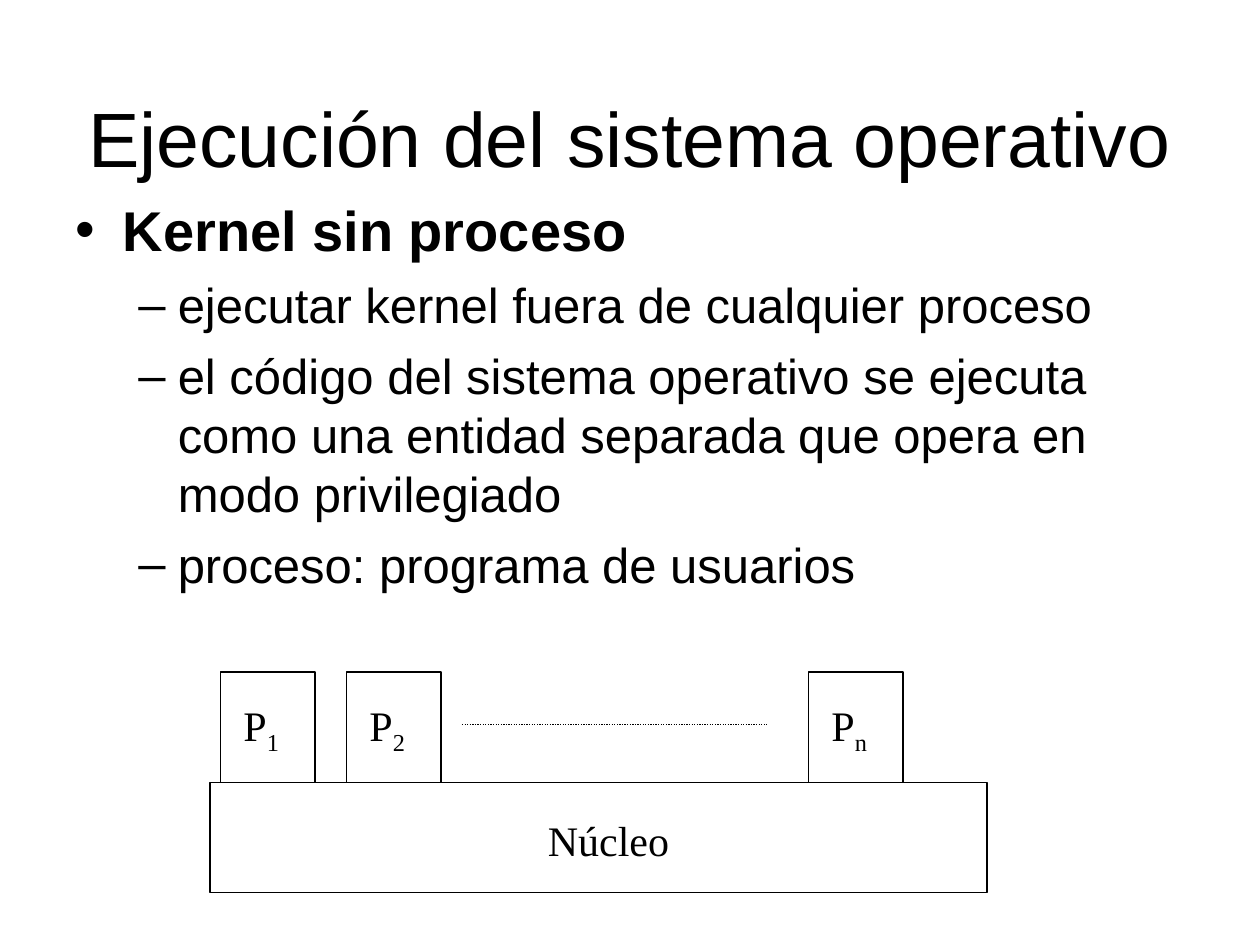
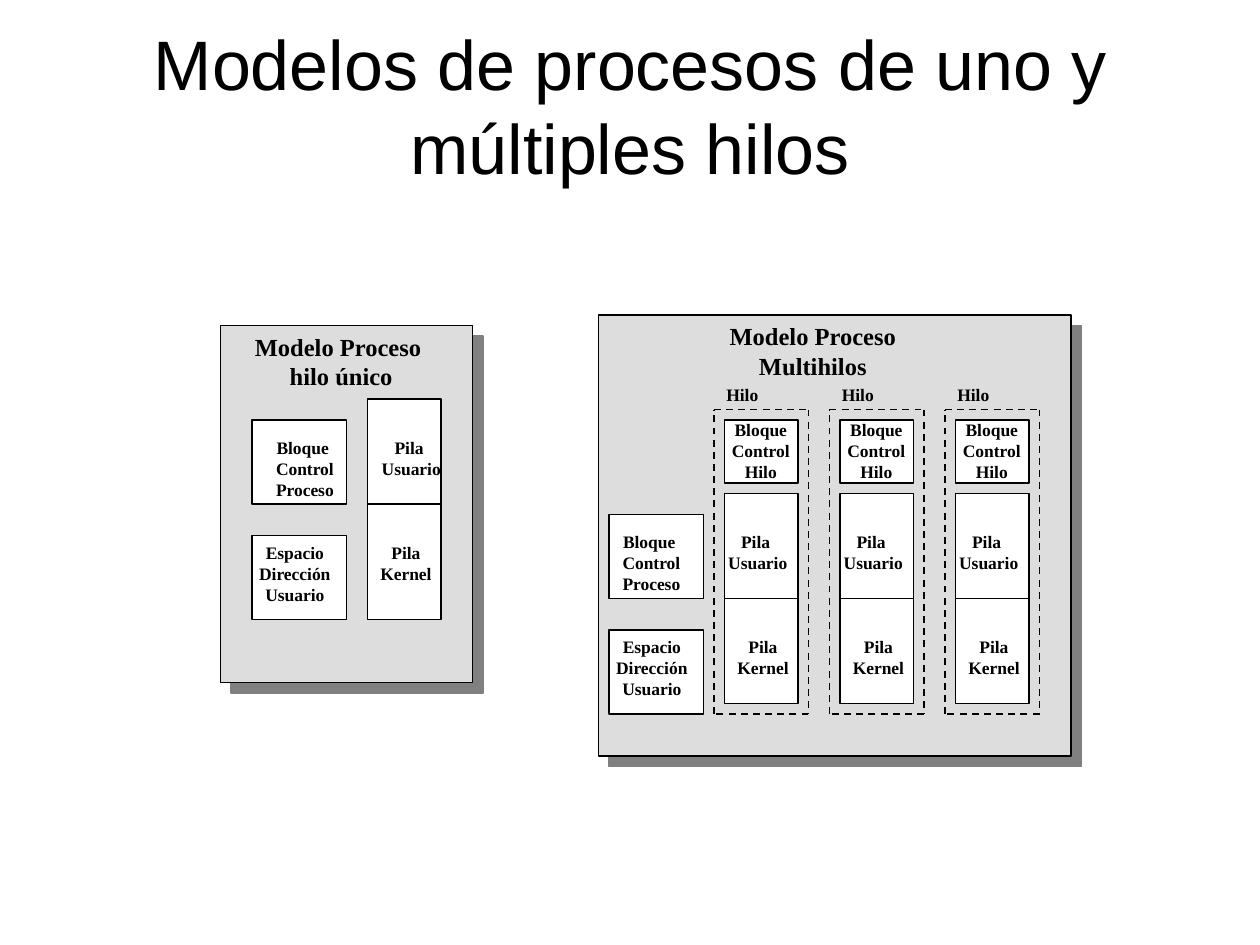
from pptx import Presentation
from pptx.dml.color import RGBColor
from pptx.enum.dml import MSO_LINE_DASH_STYLE as DASH
from pptx.enum.shapes import MSO_CONNECTOR, MSO_SHAPE
from pptx.enum.text import MSO_ANCHOR, MSO_AUTO_SIZE, PP_ALIGN
from pptx.oxml.ns import qn
from pptx.oxml.xmlchemy import OxmlElement
from pptx.util import Pt

BLACK = RGBColor(0x00, 0x00, 0x00)
WHITE = RGBColor(0xFF, 0xFF, 0xFF)
PANEL_GRAY = RGBColor(0xDD, 0xDD, 0xDD)
SHADOW_GRAY = RGBColor(0x80, 0x80, 0x80)
SANS, SERIF = "Arial", "Times New Roman"

PCB = ["Bloque ", "Control", "Proceso"]
TCB = ["Bloque", "Control", "Hilo"]
USER_SPACE = ["Espacio", "Dirección", "Usuario"]
USER_STACK = ["Pila ", "Usuario"]
KERNEL_STACK = ["Pila", "Kernel"]
THREAD_COUNT, THREAD_PITCH = 3, 66


def sub(parent, tag, **attrs):
    """Append an XML child with the given attributes."""
    child = OxmlElement(tag)
    for name, value in attrs.items():
        child.set(name, str(value))
    parent.append(child)
    return child


def add_run(p, text, size, font, bold=False):
    r = p.add_run()
    r.text = text
    r.font.size = Pt(size)
    r.font.name = font
    r.font.bold = bold
    r.font.color.rgb = BLACK
    return r


def add_textbox(slide, x, y, w, h, wrap=True):
    tf = slide.shapes.add_textbox(Pt(x), Pt(y), Pt(w), Pt(h)).text_frame
    tf.word_wrap = wrap
    return tf


def add_label(slide, x, y, w, h, lines, size=10, bold=True, align=PP_ALIGN.CENTER):
    """Unwrapped serif text, one paragraph per line."""
    tf = add_textbox(slide, x, y, w, h, wrap=False)
    tf.auto_size = MSO_AUTO_SIZE.SHAPE_TO_FIT_TEXT
    for i, line in enumerate(lines):
        p = tf.add_paragraph() if i else tf.paragraphs[0]
        p.alignment = align
        add_run(p, line, size, SERIF, bold)


def add_rect(slide, x, y, w, h, fill=None, weight=1):
    sp = slide.shapes.add_shape(MSO_SHAPE.RECTANGLE, Pt(x), Pt(y), Pt(w), Pt(h))
    sp.shadow.inherit = False
    if fill is None:
        sp.fill.background()
    else:
        sp.fill.solid()
        sp.fill.fore_color.rgb = fill
    sp.line.color.rgb = BLACK
    sp.line.width = Pt(weight)
    return sp


def add_line(slide, x1, y1, x2, y2, weight=1, dash=None):
    line = slide.shapes.add_connector(MSO_CONNECTOR.STRAIGHT, Pt(x1), Pt(y1), Pt(x2), Pt(y2))
    line.line.color.rgb = BLACK
    line.line.width = Pt(weight)
    if dash is not None:
        line.line.dash_style = dash
    sub(line._element.spPr, "a:effectLst")
    return line


def add_title(slide, x, y, w, h, text, size):
    tf = add_textbox(slide, x, y, w, h)
    tf.vertical_anchor = MSO_ANCHOR.BOTTOM
    p = tf.paragraphs[0]
    p.alignment = PP_ALIGN.CENTER
    add_run(p, text, size, SANS)


def add_bullet(p, char, left, hanging):
    pPr = p._p.get_or_add_pPr()
    pPr.set("marL", str(Pt(left)))
    pPr.set("indent", str(-Pt(hanging)))
    sub(pPr, "a:buFont", typeface=SANS)
    sub(pPr, "a:buChar", char=char)


def add_outline(slide, x, y, w, h, heading, items):
    """A bold heading bullet followed by dashed items one level down."""
    tf = add_textbox(slide, x, y, w, h)
    p = tf.paragraphs[0]
    p.space_before = Pt(8)
    add_bullet(p, "•", 27, 27)
    add_run(p, heading, 32, SANS, bold=True)
    for item in items:
        p = tf.add_paragraph()
        p.level = 1
        p.space_before = Pt(7)
        add_bullet(p, "–", 58.5, 22.5)
        add_run(p, item, 28, SANS)


def add_process(slide, x, y, index):
    add_rect(slide, x, y, 54, 63, weight=0.75)
    p = add_textbox(slide, x + 6, y + 12, 48, 40).paragraphs[0]
    add_run(p, "P", 24, SERIF)
    r = add_run(p, index, 24, SERIF)
    r.font._element.set("baseline", "-25000")


def add_kernel_diagram(slide, x, y):
    """Processes standing on the kernel block."""
    add_rect(slide, x, y + 63, 444, 63, weight=0.75)
    add_label(slide, x + 186, y + 78, 84, 36, ["Núcleo"], 24, False, PP_ALIGN.LEFT)
    for dx, index in ((6, "1"), (78, "2"), (342, "n")):
        add_process(slide, x + dx, y, index)
    add_line(slide, x + 144, y + 30, x + 318, y + 30, 0.75, DASH.ROUND_DOT)


def add_panel(slide, x, y, w, h):
    """Gray box with a hard shadow towards the lower right."""
    sp = add_rect(slide, x, y, w, h, PANEL_GRAY)
    effects = sp._element.spPr.find(qn("a:effectLst"))
    shadow = sub(effects, "a:outerShdw", dist=Pt(8.5), dir=45 * 60000,
                 algn="ctr", rotWithShape=0)
    sub(shadow, "a:srgbClr", val=SHADOW_GRAY)


def add_process_data(slide, x, y, pitch, pcb_label, space_label):
    """Control block above user address space; labels are offsets from (x, y)."""
    for row in range(2):
        add_rect(slide, x, y + row * pitch, 54, 48, WHITE)
    add_label(slide, x + pcb_label, y + 6, 47.5, 43, PCB)
    add_label(slide, x + space_label, y + pitch, 55, 43, USER_SPACE)


def add_stack(slide, x, y, h, split, user_dx):
    """User stack over kernel stack, divided at the height split."""
    sp = add_rect(slide, x, y, 42, h, WHITE)
    divider = add_line(slide, x, y + split, x + 42, y + split)
    if split * 2 == h:
        divider.begin_connect(sp, 1)
        divider.end_connect(sp, 3)
    add_label(slide, x + user_dx, y + 18, 48, 32, USER_STACK)
    add_label(slide, x, y + split + 18, 44, 32, KERNEL_STACK)


def add_thread(slide, x, y, w=54, h=174):
    corners = [(x, y), (x + w, y), (x + w, y + h), (x, y + h)]
    for start, end in zip(corners, corners[1:] + corners[:1]):
        add_line(slide, *start, *end, dash=DASH.DASH)
    add_label(slide, x, y - 18, 33, 19, ["Hilo"], align=PP_ALIGN.LEFT)
    add_rect(slide, x + 6, y + 6, 42, 36, WHITE)
    add_label(slide, x + 3, y + 2, 47.5, 43, TCB)
    add_stack(slide, x + 6, y + 48, 120, 60, -5)


def add_single_thread_model(slide, x, y):
    add_panel(slide, x, y, 144, 204)
    add_label(slide, x + 12, y, 114, 41, ["Modelo Proceso ", "hilo único"], 14)
    add_process_data(slide, x + 18, y + 54, 66, 6.5, -3)
    add_stack(slide, x + 84, y + 42, 126, 60, 1)


def add_multithread_model(slide, x, y):
    add_panel(slide, x, y, 270, 252)
    add_label(slide, x + 67.5, y, 110, 41, ["Modelo Proceso", "Multihilos"], 14)
    add_process_data(slide, x + 6, y + 114, 66, 0.5, -3)
    for i in range(THREAD_COUNT):
        add_thread(slide, x + 66 + i * THREAD_PITCH, y + 54)


def build_kernel_slide(slide):
    add_title(slide, 0, 18, 720, 90, "Ejecución del sistema operativo", 44)
    add_outline(slide, 36, 108, 644, 392, "Kernel sin proceso", [
        "ejecutar kernel fuera de cualquier proceso",
        "el código del sistema operativo se ejecuta como una entidad separada "
        "que opera en modo privilegiado",
        "proceso: programa de usuarios",
    ])
    add_kernel_diagram(slide, 120, 384)


def build_threads_slide(slide):
    add_title(slide, 36, 21.5, 648, 90, "Modelos de procesos de uno y múltiples hilos", 40)
    add_single_thread_model(slide, 126, 186)
    add_multithread_model(slide, 342, 180)


def main():
    prs = Presentation()
    prs.slide_width, prs.slide_height = Pt(720), Pt(540)
    for build in (build_kernel_slide, build_threads_slide):
        build(prs.slides.add_slide(prs.slide_layouts[6]))
    prs.save("out.pptx")


if __name__ == "__main__":
    main()
